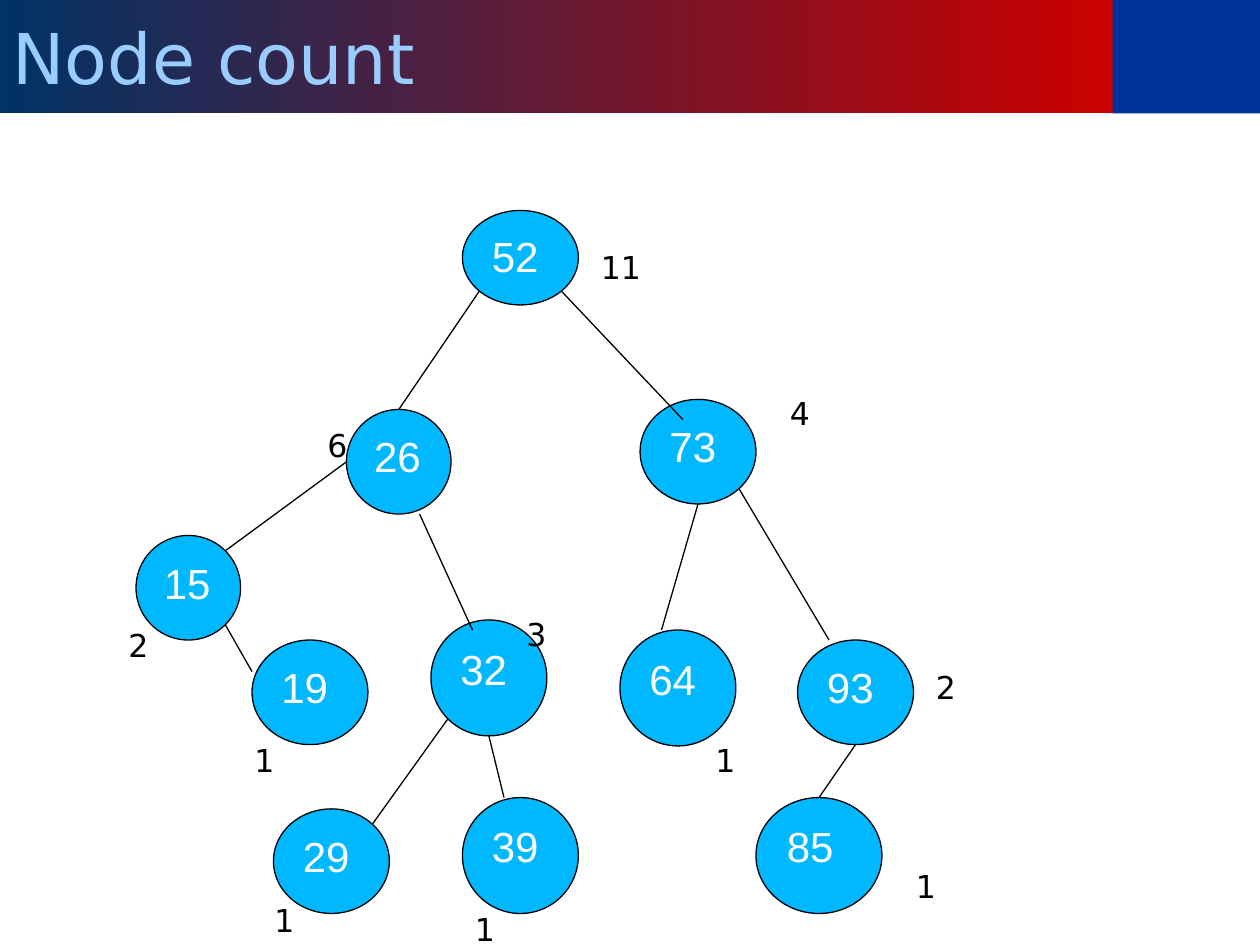
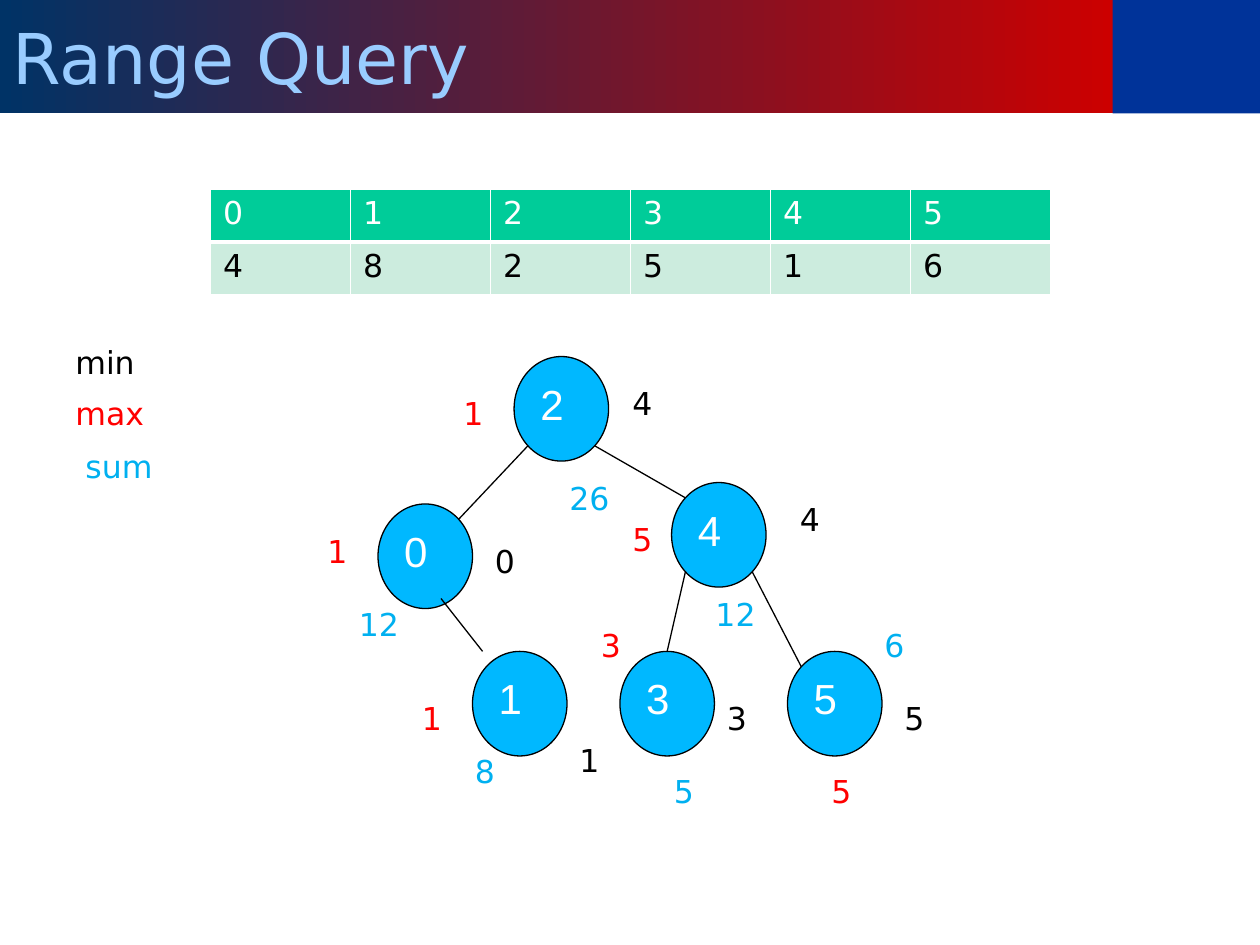
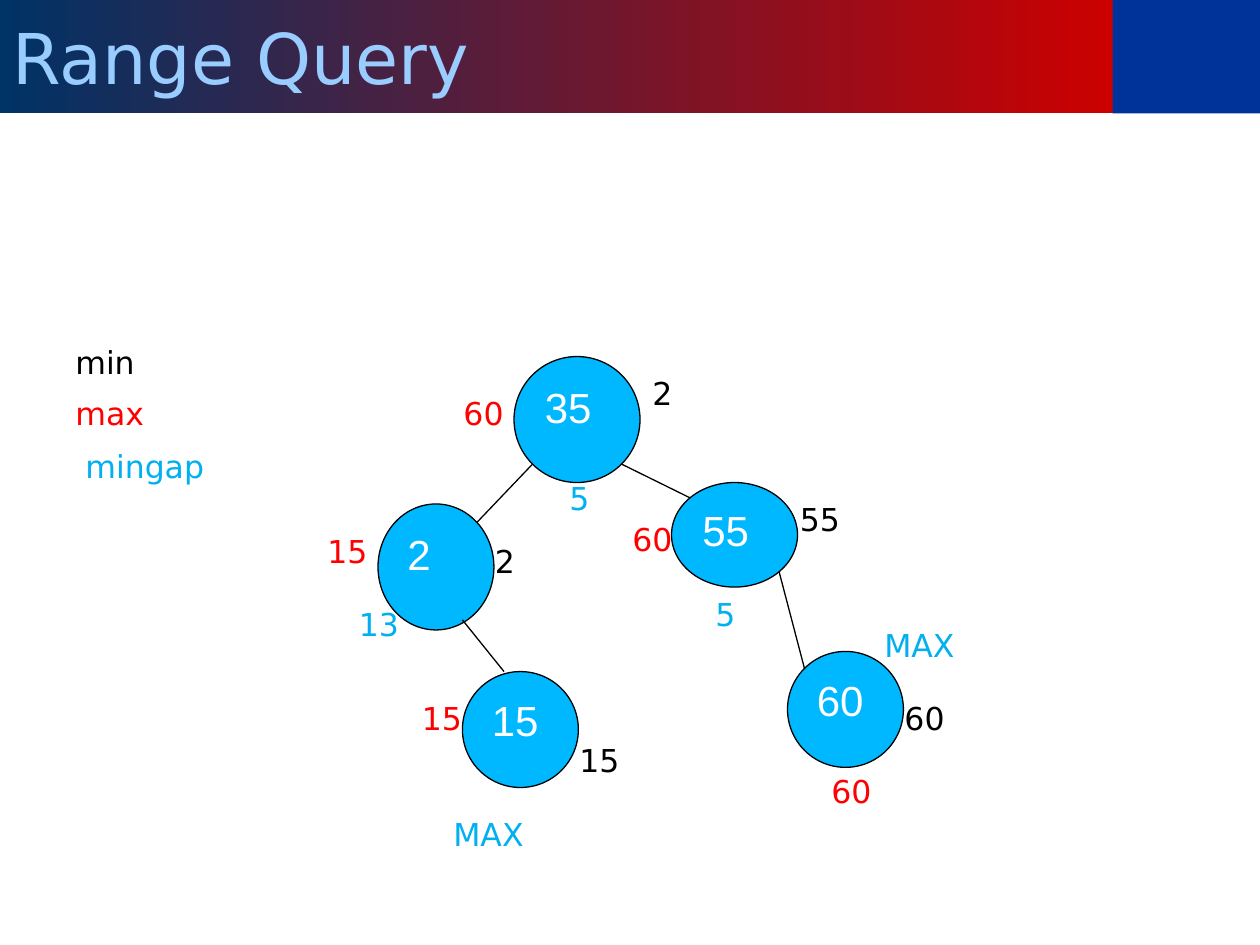
from dataclasses import dataclass, field
from math import sqrt
from typing import Any

from lxml.etree import SubElement
from pptx import Presentation
from pptx.dml.color import RGBColor
from pptx.enum.shapes import MSO_CONNECTOR as Link, MSO_SHAPE as Preset
from pptx.enum.text import MSO_ANCHOR as Anchor, MSO_AUTO_SIZE as Fit, PP_ALIGN as Align
from pptx.oxml.ns import qn
from pptx.util import Inches, Pt

BLACK, WHITE, RED, AQUA = "000000", "FFFFFF", "FF0000", "00B0F0"
NODE_FILL, BAND_BLUE, TITLE_TEXT = "00B8FF", "003399", "99CCFF"
TITLE_STOPS = ("CC0000", "003366")
HEADER_FILL, VALUE_FILL = "00CC99", "CCECDE"
TITLE_LAYOUT, BODY_LAYOUT = 5, 1

LABEL_FONT = {"name": "DejaVu Sans", "size": Pt(18), "bold": False}
TITLE_FONT = {"name": "DejaVu Sans", "size": Pt(40)}
NODE_FONT = {"name": "Arial", "size": Pt(24)}
NODE_FRAME = {"vertical_anchor": Anchor.TOP, "word_wrap": True, "auto_size": Fit.NONE}
TITLE_FRAME = {"vertical_anchor": Anchor.MIDDLE, "word_wrap": True, "auto_size": Fit.NONE}

DIAGONAL = 1 / sqrt(2)
SITES = {
    "n": (0, -1), "s": (0, 1), "w": (-1, 0),
    "nw": (-DIAGONAL, -DIAGONAL), "ne": (DIAGONAL, -DIAGONAL),
    "sw": (-DIAGONAL, DIAGONAL), "se": (DIAGONAL, DIAGONAL),
}
LABEL_WIDTHS = {"sum": 0.74, "MAX": 0.76, "mingap": 1.14}

Point = tuple[float, float]
End = tuple[Any, Any]


@dataclass(frozen=True)
class Node:
    key: str
    left: float
    top: float
    width: float
    height: float
    in_body: bool = False

    def site(self, name: str) -> Point:
        dx, dy = SITES[name]
        return (self.left + self.width / 2 * (1 + dx),
                self.top + self.height / 2 * (1 + dy))


@dataclass(frozen=True)
class Label:
    text: str
    left: float
    top: float
    fixed_width: float = 0


@dataclass(frozen=True)
class Tree:
    title: str
    nodes: list[Node]
    edges: list[tuple[End, End]]
    labels: dict[str, list[Label]]
    array: list[str] = field(default_factory=list)


def color(value: str) -> RGBColor:
    return RGBColor.from_string(value)


def apply(target, values: dict) -> None:
    for name, value in values.items():
        setattr(target, name, value)


def place(shape, left: float, top: float, width: float, height: float) -> None:
    apply(shape, {"left": Inches(left), "top": Inches(top),
                  "width": Inches(width), "height": Inches(height)})


def paint(shape, value: str) -> None:
    shape.fill.solid()
    shape.fill.fore_color.rgb = color(value)


def write(frame, text: str, font: dict, text_color: str) -> None:
    frame.text = text
    paragraph = frame.paragraphs[0]
    apply(paragraph, {"alignment": Align.LEFT, "space_before": Pt(0)})
    run_font = paragraph.runs[0].font
    apply(run_font, font)
    run_font.color.rgb = color(text_color)


def draw_header(slide, text: str) -> None:
    band = slide.shapes.add_shape(
        Preset.RECTANGLE, Inches(8.83), 0, Inches(1.17), Inches(0.9))
    band.shadow.inherit = False
    paint(band, BAND_BLUE)
    band.line.fill.background()

    title = slide.shapes.title
    place(title, 0, 0, 8.84, 0.9)
    title.fill.gradient()
    title.fill.gradient_angle = 180
    for stop, value in zip(title.fill.gradient_stops, TITLE_STOPS):
        stop.color.rgb = color(value)
    apply(title.text_frame, TITLE_FRAME)
    write(title.text_frame, text, TITLE_FONT, TITLE_TEXT)


def body_ellipse(slide, node: Node):
    body = slide.placeholders[1]
    place(body, node.left, node.top, node.width, node.height)
    geometry = SubElement(body._element.spPr, qn("a:prstGeom"), prst="ellipse")
    SubElement(geometry, qn("a:avLst"))
    return body


def draw_node(slide, node: Node) -> None:
    if node.in_body:
        circle = body_ellipse(slide, node)
    else:
        circle = slide.shapes.add_shape(
            Preset.OVAL, Inches(node.left), Inches(node.top),
            Inches(node.width), Inches(node.height))
        circle.shadow.inherit = False
    paint(circle, NODE_FILL)
    circle.line.color.rgb = color(BLACK)
    circle.line.width = Pt(0.75)
    apply(circle.text_frame, NODE_FRAME)
    write(circle.text_frame, node.key, NODE_FONT, WHITE)
    if node.in_body:
        properties = circle.text_frame.paragraphs[0]._p.get_or_add_pPr()
        properties.set("marL", "0")
        properties.set("indent", "0")
        SubElement(properties, qn("a:buNone"))


def draw_edge(slide, start: Point, end: Point) -> None:
    edge = slide.shapes.add_connector(
        Link.STRAIGHT, *(Inches(value) for value in (*start, *end)))
    edge.line.color.rgb = color(BLACK)
    edge.line.width = Pt(0.75)
    SubElement(edge._element.spPr, qn("a:effectLst"))


def draw_label(slide, label: Label, text_color: str) -> None:
    width = (label.fixed_width or LABEL_WIDTHS.get(label.text)
             or 0.2 + 0.16 * len(label.text))
    box = slide.shapes.add_textbox(
        Inches(label.left), Inches(label.top), Inches(width), Inches(0.4))
    apply(box.text_frame, {"word_wrap": label.fixed_width > 0,
                           "auto_size": Fit.SHAPE_TO_FIT_TEXT})
    write(box.text_frame, label.text, LABEL_FONT, text_color)


def draw_borders(cell, bottom: float) -> None:
    properties = cell._tc.get_or_add_tcPr()
    sides = {"a:lnL": 1, "a:lnR": 1, "a:lnT": 1, "a:lnB": bottom}
    for position, (tag, points) in enumerate(sides.items()):
        border = SubElement(properties, qn(tag), w=str(Pt(points)))
        SubElement(SubElement(border, qn("a:solidFill")), qn("a:srgbClr"), val=WHITE)
        properties.insert(position, border)


def draw_array(slide, values: list[str]) -> None:
    table = slide.shapes.add_table(
        2, len(values), Inches(1.67), Inches(1.5), Inches(6.67), Inches(0.84)).table
    indexes = [str(index) for index in range(len(values))]
    rows = [(indexes, HEADER_FILL, WHITE, 3), (values, VALUE_FILL, BLACK, 1)]
    for row, (texts, fill, text_color, bottom) in enumerate(rows):
        for column, text in enumerate(texts):
            cell = table.cell(row, column)
            paint(cell, fill)
            write(cell.text_frame, text, LABEL_FONT, text_color)
            draw_borders(cell, bottom)


def draw_tree(deck, tree: Tree) -> None:
    has_body = any(node.in_body for node in tree.nodes)
    layout = deck.slide_layouts[BODY_LAYOUT if has_body else TITLE_LAYOUT]
    slide = deck.slides.add_slide(layout)
    draw_header(slide, tree.title)
    if tree.array:
        draw_array(slide, tree.array)
    for node in tree.nodes:
        draw_node(slide, node)

    by_key = {node.key: node for node in tree.nodes}

    def locate(end: End) -> Point:
        return by_key[end[0]].site(end[1]) if isinstance(end[0], str) else end

    for start, end in tree.edges:
        draw_edge(slide, locate(start), locate(end))
    for text_color, labels in tree.labels.items():
        for label in labels:
            draw_label(slide, label, text_color)


MIN_KEY = Label("min", 0.5, 2.67, 0.83)
MAX_KEY = Label("max", 0.5, 3.08, 0.83)

NODE_COUNT = Tree(
    "Node count",
    [
        Node("52", 3.67, 1.67, 0.92, 0.75),
        Node("26", 2.75, 3.25, 0.83, 0.83),
        Node("73", 5.08, 3.17, 0.92, 0.83),
        Node("32", 3.42, 4.92, 0.92, 0.92),
        Node("64", 4.92, 5, 0.92, 0.92),
        Node("93", 6.33, 5.08, 0.92, 0.83),
        Node("29", 2.17, 6.42, 0.92, 0.83),
        Node("39", 3.67, 6.33, 0.92, 0.92),
        Node("85", 6, 6.33, 1, 0.92),
        Node("15", 1.08, 4.25, 0.83, 0.83, in_body=True),
        Node("19", 2, 5.08, 0.92, 0.83),
    ],
    [
        (("52", "sw"), ("26", "n")),
        (("52", "se"), (5.42, 3.33)),
        ((3.33, 4.08), (3.75, 5)),
        (("73", "s"), (5.25, 5)),
        (("73", "se"), (6.58, 5.08)),
        (("32", "sw"), ("29", "ne")),
        (("32", "s"), (4, 6.33)),
        (("93", "s"), ("85", "n")),
        (("26", "w"), ("15", "ne")),
        (("15", "se"), (2, 5.33)),
    ],
    {BLACK: [
        Label("1", 7.17, 6.83), Label("2", 7.33, 5.25), Label("1", 5.58, 5.83),
        Label("4", 6.17, 3.08, 0.33), Label("11", 4.67, 1.92), Label("6", 2.5, 3.33),
        Label("2", 0.92, 4.92), Label("1", 1.92, 5.83), Label("3", 4.08, 4.83),
        Label("1", 2.08, 7.1), Label("1", 3.67, 7.17),
    ]},
)

RANGE_SUM = Tree(
    "Range Query",
    [Node(key, left, top, 0.75, 0.83) for key, left, top in (
        ("2", 4.08, 2.83), ("4", 5.33, 3.83), ("3", 4.92, 5.17),
        ("5", 6.25, 5.17), ("1", 3.75, 5.17), ("0", 3, 4))],
    [
        (("2", "sw"), ("0", "ne")),
        ((3.5, 4.75), (3.83, 5.17)),
        (("2", "se"), ("4", "nw")),
        (("4", "sw"), ("3", "n")),
        (("4", "se"), ("5", "nw")),
    ],
    {
        BLACK: [Label("5", 7.08, 5.5), Label("4", 6.25, 3.92), Label("3", 5.67, 5.5),
                Label("1", 4.5, 5.83), Label("0", 3.83, 4.25), Label("4", 4.92, 3),
                MIN_KEY],
        RED: [Label("1", 3.58, 3.08), Label("5", 4.92, 4.08), Label("1", 2.5, 4.17),
              Label("1", 3.25, 5.5), Label("3", 4.67, 4.92), Label("5", 6.5, 6.08),
              MAX_KEY],
        AQUA: [Label("26", 4.42, 3.75), Label("12", 2.75, 4.75), Label("12", 5.58, 4.67),
               Label("8", 3.67, 5.92), Label("5", 5.25, 6.08), Label("6", 6.92, 4.92),
               Label("sum", 0.58, 3.5)],
    },
    ["4", "8", "2", "5", "1", "6"],
)

RANGE_MINGAP = Tree(
    "Range Query",
    [
        Node("35", 4.08, 2.83, 1, 1),
        Node("55", 5.33, 3.83, 1, 0.83),
        Node("60", 6.25, 5.17, 0.92, 0.92),
        Node("15", 3.67, 5.33, 0.92, 0.92),
        Node("2", 3, 4, 0.92, 1),
    ],
    [
        (("35", "sw"), ("2", "ne")),
        ((3.67, 4.92), (4, 5.33)),
        (("35", "se"), ("55", "nw")),
        (("55", "se"), ("60", "nw")),
    ],
    {
        BLACK: [Label("60", 7.08, 5.5), Label("55", 6.25, 3.92), Label("15", 4.5, 5.83),
                Label("2", 3.83, 4.25), Label("2", 5.08, 2.92), MIN_KEY],
        RED: [Label("60", 3.58, 3.08), Label("60", 4.92, 4.08), Label("15", 2.5, 4.17),
              Label("15", 3.25, 5.5), Label("60", 6.5, 6.08), MAX_KEY],
        AQUA: [Label("5", 4.42, 3.75), Label("13", 2.75, 4.75), Label("5", 5.58, 4.67),
               Label("MAX", 3.5, 6.42), Label("MAX", 6.92, 4.92),
               Label("mingap", 0.58, 3.5)],
    },
)


def main() -> None:
    deck = Presentation()
    apply(deck, {"slide_width": Inches(10), "slide_height": Inches(7.5)})
    for tree in (NODE_COUNT, RANGE_SUM, RANGE_MINGAP):
        draw_tree(deck, tree)
    deck.save("out.pptx")


if __name__ == "__main__":
    main()
